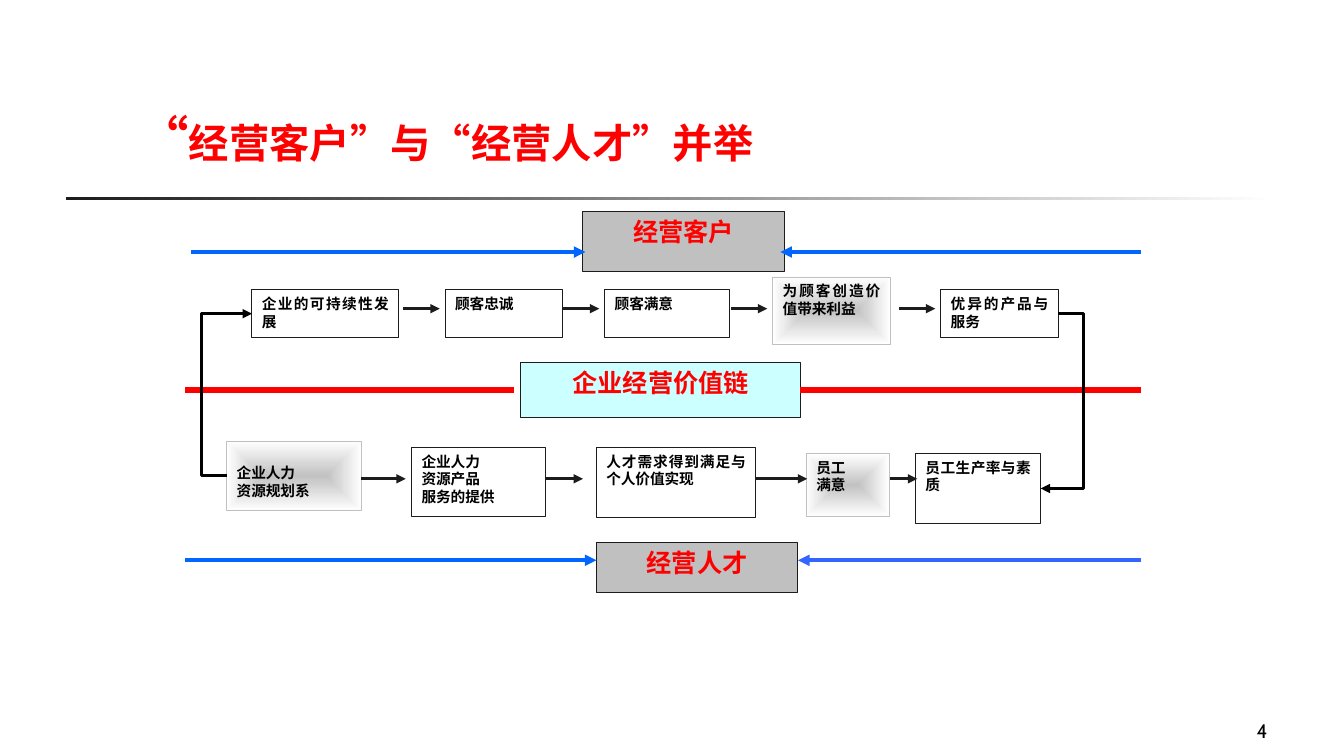
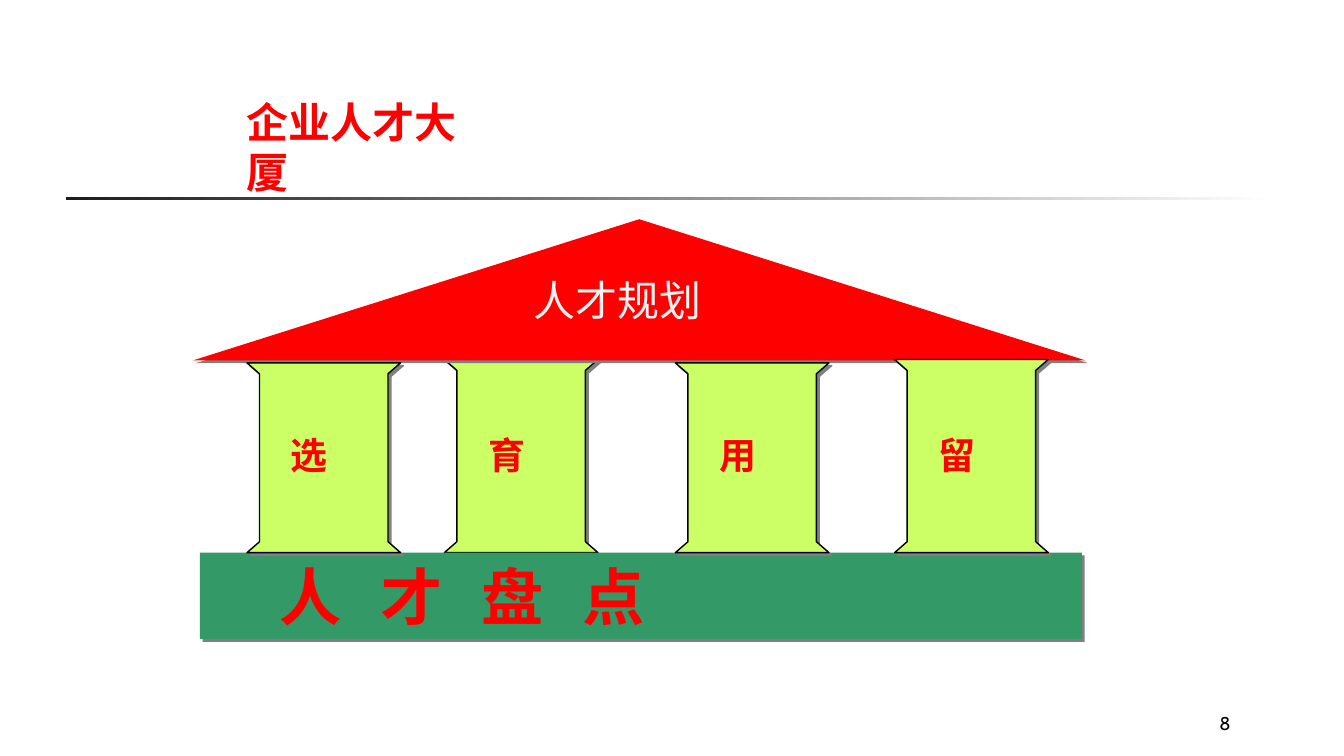
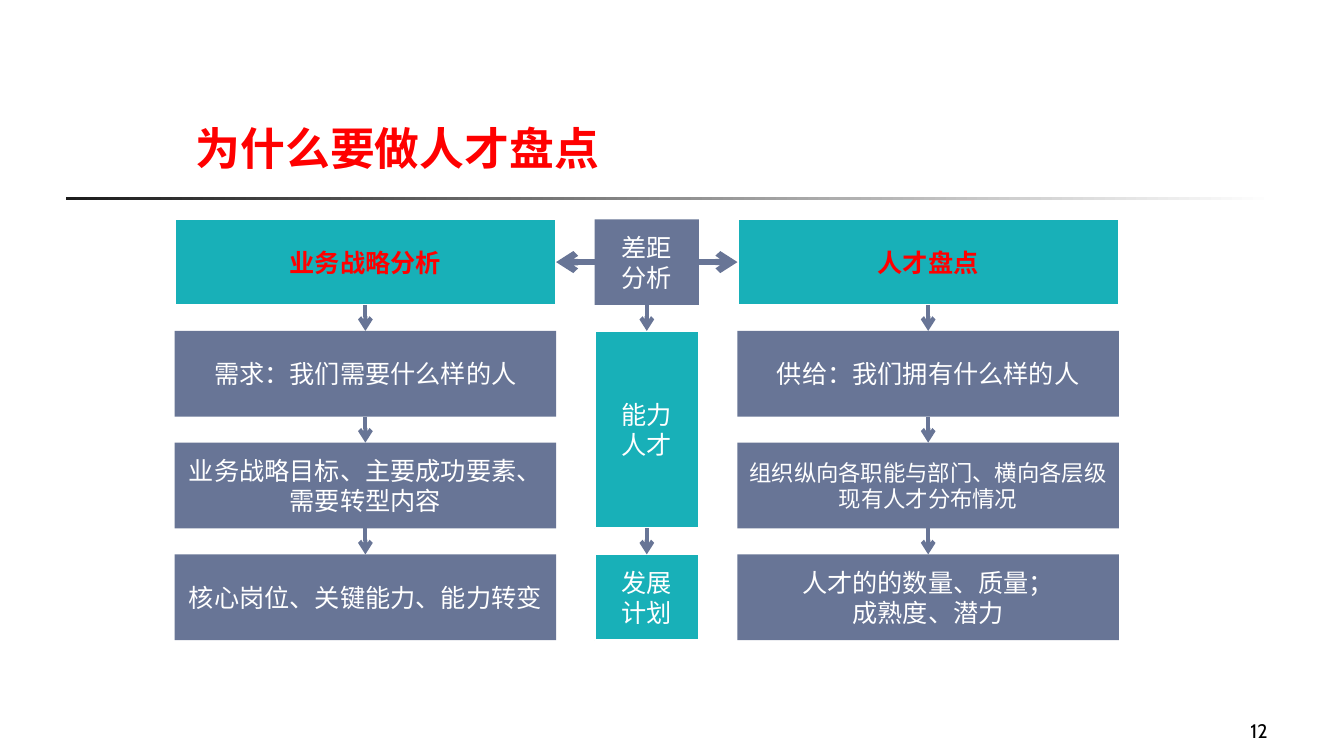
from itertools import pairwise

from lxml.etree import SubElement
from pptx import Presentation
from pptx.dml.color import RGBColor
from pptx.enum.lang import MSO_LANGUAGE_ID
from pptx.enum.shapes import MSO_CONNECTOR, MSO_SHAPE
from pptx.enum.text import MSO_ANCHOR, MSO_AUTO_SIZE, PP_ALIGN
from pptx.oxml.ns import qn
from pptx.util import Emu, Pt

CELL = 76200  # the slide is a grid of 160 columns by 90 rows
COLUMNS, ROWS = 160, 90
TOP, LEFT, BOTTOM, RIGHT = range(4)

RED, BLACK, WHITE, INK = "FF0000", "000000", "FFFFFF", "1C1C1C"
BLUE, VIOLET_BLUE, SILVER, PALE_CYAN = "0066FF", "3366FF", "C0C0C0", "CCFFFF"
LIME, GREEN, SHADE = "CCFF66", "339966", "808080"
TEAL, SLATE = "18B0B8", "687596"
HAN, LATIN = "Noto Sans CJK SC", "Cabin"


def cells(*counts):
    return [Emu(round(count * CELL)) for count in counts]


def color(hex_string):
    return RGBColor.from_string(hex_string)


def child(parent, tag, **attributes):
    return SubElement(parent, qn(tag), attributes)


class Deck:
    def __init__(self):
        self.file = Presentation()
        self.file.slide_width, self.file.slide_height = cells(COLUMNS, ROWS)
        self.slide = None

    def new_slide(self, number, number_place=(118.7, 83, 33.4, 6), number_size=14):
        self.slide = self.file.slides.add_slide(self.file.slide_layouts[5])
        rule = self.box((7.8, 23.4, 143.9, 0.4))
        self.gradient(rule, INK, WHITE)
        self.text(number_place, number, number_size, BLACK, bold=False,
                  align=PP_ALIGN.RIGHT, anchor=MSO_ANCHOR.BOTTOM, name=LATIN)

    def title(self, place, words, size, anchor=MSO_ANCHOR.TOP, insets=(1.2, 0.6), han=LATIN):
        heading = self.slide.shapes.title
        heading.left, heading.top, heading.width, heading.height = cells(*place)
        self.set_text(heading, words, size, RED, True, PP_ALIGN.LEFT, anchor, insets, han=han)
        return heading

    def set_text(self, shape, words, size, ink, bold=False, align=PP_ALIGN.CENTER,
                 anchor=MSO_ANCHOR.MIDDLE, insets=(1.2, 0.6), name=HAN, han=LATIN):
        """Fill a shape with one paragraph per line; han names the font that sets the line height."""
        frame = shape.text_frame
        frame.text = words
        frame.word_wrap = True
        frame.auto_size = MSO_AUTO_SIZE.NONE
        frame.vertical_anchor = anchor
        frame.margin_left, frame.margin_top = frame.margin_right, frame.margin_bottom = cells(*insets)
        for paragraph in frame.paragraphs:
            paragraph.alignment = align
            font = paragraph.font
            font.size, font.bold, font.name = Pt(size), bold, name
            font.color.rgb = color(ink)
            font.language_id = MSO_LANGUAGE_ID.SIMPLIFIED_CHINESE
            child(font._rPr, "a:ea", typeface=han)

    def text(self, place, words, size, ink, bold=True, align=PP_ALIGN.LEFT, **style):
        label = self.slide.shapes.add_textbox(*cells(*place))
        self.set_text(label, words, size, ink, bold, align, **style)
        return label

    def paint(self, shape, fill, line=None, width=0.75, shadow=False):
        shape.shadow.inherit = False
        if fill:
            shape.fill.solid()
            shape.fill.fore_color.rgb = color(fill)
        if line:
            shape.line.color.rgb = color(line)
            shape.line.width = Pt(width)
        else:
            shape.line.fill.background()
        if shadow:
            effects = shape._element.spPr.find(qn("a:effectLst"))
            outer = child(effects, "a:outerShdw", dist=str(Pt(2.8)), dir="2700000", algn="ctr")
            child(outer, "a:srgbClr", val=SHADE)

    def gradient(self, shape, start, end, from_center=False):
        shape.fill.gradient()
        shape.fill.gradient_angle = 0
        for stop, place, tint in zip(shape.fill.gradient_stops, (0, 1), (start, end)):
            stop.position, stop.color.rgb = place, color(tint)
        if from_center:
            grad = shape._element.spPr.find(qn("a:gradFill"))
            grad.remove(grad.find(qn("a:lin")))
            burst = child(grad, "a:path", path="shape")
            child(burst, "a:fillToRect", l="50000", t="50000", r="50000", b="50000")

    def box(self, place, fill=None, kind=MSO_SHAPE.RECTANGLE, **look):
        shape = self.slide.shapes.add_shape(kind, *cells(*place))
        self.paint(shape, fill, **look)
        return shape

    def outline(self, points, fill, **look):
        corners = [tuple(cells(*point)) for point in points]
        builder = self.slide.shapes.build_freeform(*corners[0])
        builder.add_line_segments(corners[1:], close=True)
        shape = builder.convert_to_shape()
        self.paint(shape, fill, **look)
        return shape

    def line(self, start, end, ink, width, head=None, tail=None, kind=MSO_CONNECTOR.STRAIGHT):
        """Join two ends, each a grid point or a pair of a box and its side."""
        joins = [None if isinstance(stop[0], (int, float)) else stop for stop in (start, end)]
        points = [(0, 0) if join else stop for join, stop in zip(joins, (start, end))]
        link = self.slide.shapes.add_connector(kind, *cells(*points[0], *points[1]))
        for join, connect in zip(joins, (link.begin_connect, link.end_connect)):
            if join:
                connect(*join)
        link.line.color.rgb = color(ink)
        link.line.width = Pt(width)
        stroke = link.line._get_or_add_ln()
        for tag, arrow in (("a:headEnd", head), ("a:tailEnd", tail)):
            if arrow:
                child(stroke, tag, type=arrow)
        child(link._element.spPr, "a:effectLst")
        return link

    def loop(self, start, end, column):
        """Draw an elbow arrow that runs outside both boxes along a column."""
        link = self.line(start, end, BLACK, 2.25, tail="triangle", kind=MSO_CONNECTOR.ELBOW)
        share = (column * CELL - link.begin_x) / (link.end_x - link.begin_x)
        geometry = link._element.spPr.find(qn("a:prstGeom"))
        values = geometry.find(qn("a:avLst"))
        if values is None:
            values = child(geometry, "a:avLst")
        child(values, "a:gd", name="adj1", fmla=f"val {round(share * 100000)}")


def build_value_chain(deck):
    deck.new_slide("4")
    heading = deck.title((15.7, 13.8, 116.8, 5.3), "“", 28.8, MSO_ANCHOR.MIDDLE, (0.8, 0.5), HAN)
    opening = heading.text_frame.paragraphs[0]
    opening.runs[0].font.size = Pt(36)
    opening.add_run().text = "经营客户”与“经营人才”并举"

    def step(place, words, highlighted=False, top_inset=0.6):
        shape = deck.box(place, WHITE, line=SILVER if highlighted else INK)
        if highlighted:
            deck.gradient(shape, "C2C2C2", WHITE, from_center=True)
        deck.set_text(shape, words, 10.5, BLACK, True, PP_ALIGN.JUSTIFY, MSO_ANCHOR.TOP,
                      insets=(1.2, top_inset))
        return shape

    def banner(place, words, fill):
        shape = deck.box(place, fill, line=INK)
        deck.set_text(shape, words, 18, RED, True, anchor=MSO_ANCHOR.TOP)
        return shape

    banner((71, 64.6, 24, 6), "经营人才", SILVER)
    banner((69.4, 25.2, 24, 7.1), "经营客户", SILVER)

    growth = step((30, 34.5, 17.5, 5.7), "企业的可持续性发展")
    step((53, 34.5, 14, 5.7), "顾客忠诚")
    step((72, 34.5, 14.9, 5.7), "顾客满意")
    step((92, 33, 14, 8), "为顾客创造价值带来利益", True)
    product = step((112, 34.5, 14, 5.7), "优异的产品与服务")

    planning = step((27, 52.5, 16, 8.3), "企业人力\n资源规划系", True, 2.75)
    step((49, 53.3, 16, 8.2), "企业人力\n资源产品\n服务的提供")
    step((71, 53.3, 19, 8.3), "人才需求得到满足与个人价值实现")
    step((96, 54, 9.9, 7.5), "员工\n满意", True)
    output = step((109, 54, 14.9, 8.3), "员工生产率与素质")

    customer_flow = [(x, x + 4.35, 36.75) for x in (48, 67, 87, 107)]
    talent_flow = [(43, 48.3, 57), (65, 69.4, 57), (90, 96.1, 57), (104, 109.2, 57)]
    talent_flow[-1] = (106, 109.2, 57)
    for start, end, row in customer_flow + talent_flow:
        deck.line((start, row), (end, row), INK, 2.25, tail="triangle")
    for start, end, row, ink in ((135.8, 92.9, 30, BLUE), (22.7, 69.7, 30, BLUE),
                                 (22, 71, 66.7, BLUE), (135.8, 95, 66.7, VIOLET_BLUE)):
        deck.line((start, row), (end, row), ink, 2.75, tail="triangle")

    chain = banner((62, 43.1, 33.3, 6.6), "企业经营价值链", PALE_CYAN)
    deck.line((61.2, 46.4), (22, 46.4), RED, 4.25)
    deck.line((135.8, 46.4), (chain, RIGHT), RED, 4.25)
    deck.loop((product, RIGHT), (output, RIGHT), 129)
    deck.loop((planning, LEFT), (growth, LEFT), 24)


def build_talent_house(deck):
    deck.new_slide("8", (117.7, 82, 30, 6), 13.2)
    deck.title((28.1, 10.9, 31, 7.2), "企业人才大厦", 30)
    floor, width, flare, cap = 65.8, 18.3, 1.5, 1.3

    def pillar(left, top, words):
        right = left + width
        deck.outline([(left, top), (right, top), (right - flare, top + cap),
                      (right - flare, floor - cap), (right, floor), (left, floor),
                      (left + flare, floor - cap), (left + flare, top + cap)],
                     LIME, line=BLACK, width=1, shadow=True)
        deck.text((left + 5.2, 51.5, 10, 5.3), words, 26.4, RED,
                  anchor=MSO_ANCHOR.MIDDLE, insets=(0, 0), name="Arial")

    pillar(52.9, 42.8, "育")
    deck.box((23, 26.1, 106.2, 16.8), RED, MSO_SHAPE.ISOSCELES_TRIANGLE, shadow=True)
    base = deck.box((23.8, floor, 105, 10.3), GREEN, shadow=True)
    deck.text((62.3, 32, 29, 7.3), "人才规划", 30, "F2F2F2", bold=False)
    for left, top, words in ((29.4, 43.2, "选"), (80.4, 43.2, "用"), (106.5, 42.8, "留")):
        pillar(left, top, words)

    stops = child(base.text_frame.paragraphs[0]._p.get_or_add_pPr(), "a:tabLst")
    for column in (19.1, 45, 64.2):
        child(stops, "a:tab", pos=str(cells(column)[0]), algn="l")
    deck.set_text(base, "人\t才\t盘\t点", 44.4, RED, True, PP_ALIGN.LEFT, insets=(9.5, 0.6))


def build_talent_review(deck):
    deck.new_slide("12")
    deck.title((22.1, 13.8, 89.5, 7.7), "为什么要做人才盘点", 32)
    first_row, pitch, height = 26.1, 13.3, 10.2

    def block(left, width, row, words, fill=SLATE, ink=WHITE, size=18, span=1):
        place = (left, first_row + row * pitch, width, height + (span - 1) * pitch)
        shape = deck.box(place, fill, line=WHITE if fill == TEAL else None, width=1.5)
        deck.set_text(shape, words, size, ink, bold=ink == RED)
        return shape

    def link_down(blocks):
        for upper, lower in pairwise(blocks):
            deck.line((upper, BOTTOM), (lower, TOP), SLATE, 3, tail="arrow")

    def side(left, header, details):
        blocks = [block(left, 45.4, 0, header, TEAL, RED)]
        blocks += [block(left, 45.4, row, words, size=size)
                   for row, (words, size) in enumerate(details, 1)]
        link_down(blocks)
        return blocks[0]

    demand = side(20.8, "业务战略分析", [
        ("需求：我们需要什么样的人", 18),
        ("业务战略目标、主要成功要素、需要转型内容", 18),
        ("核心岗位、关键能力、能力转变", 18)])
    supply = side(87.8, "人才盘点", [
        ("供给：我们拥有什么样的人", 18),
        ("组织纵向各职能与部门、横向各层级现有人才分布情况", 16),
        ("人才的的数量、质量；\n成熟度、潜力", 18)])
    deck.line((demand, RIGHT), (supply, LEFT), SLATE, 4.5, head="arrow", tail="arrow")
    link_down([block(70.8, 12.4, 0, "差距\n分析"),
               block(70.8, 12.4, 1, "能力\n人才", TEAL, span=2),
               block(70.8, 12.4, 3, "发展\n计划", TEAL)])


def main():
    deck = Deck()
    build_value_chain(deck)
    build_talent_house(deck)
    build_talent_review(deck)
    deck.file.save("out.pptx")


if __name__ == "__main__":
    main()
